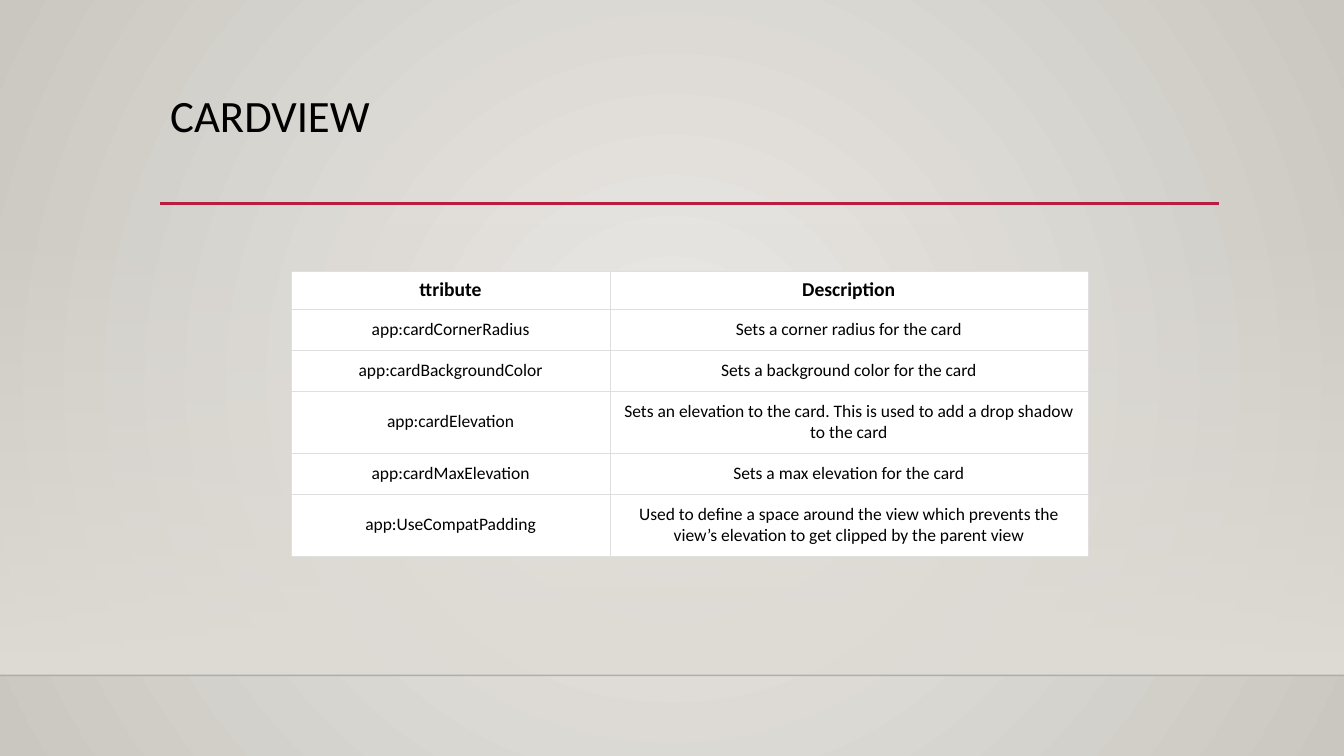
from lxml.etree import SubElement
from pptx import Presentation
from pptx.dml.color import RGBColor
from pptx.enum.shapes import MSO_CONNECTOR, MSO_SHAPE
from pptx.enum.text import MSO_ANCHOR, PP_ALIGN
from pptx.oxml import parse_xml
from pptx.oxml.ns import nsdecls, qn
from pptx.util import Cm, Pt

TITLE = "CARDVIEW"
ATTRIBUTES = [
    ("ttribute", "Description"),
    ("app:cardCornerRadius", "Sets a corner radius for the card"),
    ("app:cardBackgroundColor", "Sets a background color for the card"),
    ("app:cardElevation",
     "Sets an elevation to the card. This is used to add a drop shadow to the card"),
    ("app:cardMaxElevation", "Sets a max elevation for the card"),
    ("app:UseCompatPadding",
     "Used to define a space around the view which prevents the view’s "
     "elevation to get clipped by the parent view"),
]

FONT = "Calibri"
BLACK = RGBColor(0x00, 0x00, 0x00)
WHITE = RGBColor(0xFF, 0xFF, 0xFF)
CRIMSON = RGBColor(0xB7, 0x1E, 0x42)
BORDER = RGBColor(0xDF, 0xDF, 0xDF)
WALL = RGBColor(0xDF, 0xDB, 0xD5)
GLOW_CENTER = RGBColor(0xEC, 0xEA, 0xE7)
GLOW_EDGE = RGBColor(0xCA, 0xC7, 0xC1)

SLIDE_WIDTH, SLIDE_HEIGHT = Cm(33.87), Cm(19.05)
WALL_TOP, FLOOR_TOP = Cm(5.61), Cm(17.02)
CONTENT_LEFT, CONTENT_RIGHT = Cm(4.04), Cm(30.73)
RULE_TOP = Cm(5.13)
TABLE_LEFT, TABLE_TOP = Cm(7.34), Cm(6.83)
COLUMN_WIDTHS = (Cm(8.03), Cm(12.04))
HEADER_HEIGHT, LINE_HEIGHT, CELL_PADDING = Cm(0.96), Cm(0.53), Cm(0.25)
LINE_CAPACITY = 60


def gradient(start, end, direction, start_alpha=100):
    return parse_xml(
        f'<a:gradFill {nsdecls("a")} rotWithShape="1"><a:gsLst>'
        f'<a:gs pos="0"><a:srgbClr val="{start}">'
        f'<a:alpha val="{start_alpha * 1000}"/></a:srgbClr></a:gs>'
        f'<a:gs pos="100000"><a:srgbClr val="{end}"/></a:gs>'
        f'</a:gsLst>{direction}</a:gradFill>')


def add_line(slide, left, right, y, color, width):
    line = slide.shapes.add_connector(MSO_CONNECTOR.STRAIGHT, left, y, right, y)
    line.line.color.rgb = color
    line.line.width = width
    SubElement(line._element.spPr, qn("a:effectLst"))
    return line


def add_backdrop(slide):
    slide.background.fill.solid()
    background = slide._element.find(".//" + qn("p:bgPr"))
    circle = ('<a:path path="circle">'
              '<a:fillToRect l="50000" t="50000" r="50000" b="50000"/></a:path>')
    background.replace(background[0], gradient(GLOW_CENTER, GLOW_EDGE, circle))

    wall = slide.shapes.add_shape(
        MSO_SHAPE.RECTANGLE, 0, WALL_TOP, SLIDE_WIDTH, FLOOR_TOP - WALL_TOP)
    wall.shadow.inherit = False
    wall.line.fill.background()
    wall.fill.background()
    properties = wall._element.spPr
    downward = '<a:lin ang="5400000" scaled="0"/>'
    properties.replace(properties.find(qn("a:noFill")),
                       gradient(WALL, WALL, downward, start_alpha=0))

    floor_edge = add_line(slide, 0, SLIDE_WIDTH, FLOOR_TOP, BLACK, Pt(1))
    edge_color = floor_edge._element.spPr.find(".//" + qn("a:srgbClr"))
    SubElement(edge_color, qn("a:alpha"), val="20000")


def add_title(slide):
    box = slide.shapes.add_textbox(
        CONTENT_LEFT, Cm(2.24), CONTENT_RIGHT - CONTENT_LEFT, Cm(2.92))
    box.text_frame.word_wrap = True
    title = box.text_frame.paragraphs[0]
    title.text = TITLE
    title.line_spacing = 0.9
    title.font.size = Pt(32)
    title.font.name = FONT
    title.font.color.rgb = BLACK


def add_borders(cell):
    properties = cell._tc.get_or_add_tcPr()
    for position, side in enumerate(("lnL", "lnR", "lnT", "lnB")):
        properties.insert(position, parse_xml(
            f'<a:{side} {nsdecls("a")} w="{Pt(0.15)}"><a:solidFill>'
            f'<a:srgbClr val="{BORDER}"/></a:solidFill></a:{side}>'))


def fill_cell(cell, wording, is_header, is_first):
    cell.fill.solid()
    cell.fill.fore_color.rgb = WHITE
    add_borders(cell)
    cell.vertical_anchor = MSO_ANCHOR.MIDDLE
    cell.margin_left = cell.margin_right = Cm(0.1 if is_header and is_first else 0.18)
    cell.margin_top = cell.margin_bottom = Cm(0.18) if is_header else CELL_PADDING
    paragraph = cell.text_frame.paragraphs[0]
    paragraph.text = wording
    paragraph.alignment = PP_ALIGN.CENTER
    paragraph.font.size = Pt(14 if is_header else 12.5)
    paragraph.font.bold = is_header
    paragraph.font.name = FONT
    paragraph.font.color.rgb = BLACK


def add_attribute_table(slide):
    heights = [HEADER_HEIGHT]
    for _, description in ATTRIBUTES[1:]:
        lines = 2 if len(description) > LINE_CAPACITY else 1
        heights.append(lines * LINE_HEIGHT + 2 * CELL_PADDING)
    table = slide.shapes.add_table(
        len(ATTRIBUTES), len(COLUMN_WIDTHS), TABLE_LEFT, TABLE_TOP,
        sum(COLUMN_WIDTHS), sum(heights)).table
    table.horz_banding = False
    for column, width in zip(table.columns, COLUMN_WIDTHS):
        column.width = width
    for r, (entry, height) in enumerate(zip(ATTRIBUTES, heights)):
        table.rows[r].height = height
        for c, wording in enumerate(entry):
            fill_cell(table.cell(r, c), wording, r == 0, c == 0)


def main():
    deck = Presentation()
    deck.slide_width, deck.slide_height = SLIDE_WIDTH, SLIDE_HEIGHT
    slide = deck.slides.add_slide(deck.slide_layouts[6])
    add_backdrop(slide)
    add_line(slide, CONTENT_LEFT, CONTENT_RIGHT, RULE_TOP, CRIMSON, Pt(2.5))
    add_title(slide)
    add_attribute_table(slide)
    deck.save("out.pptx")


if __name__ == "__main__":
    main()
